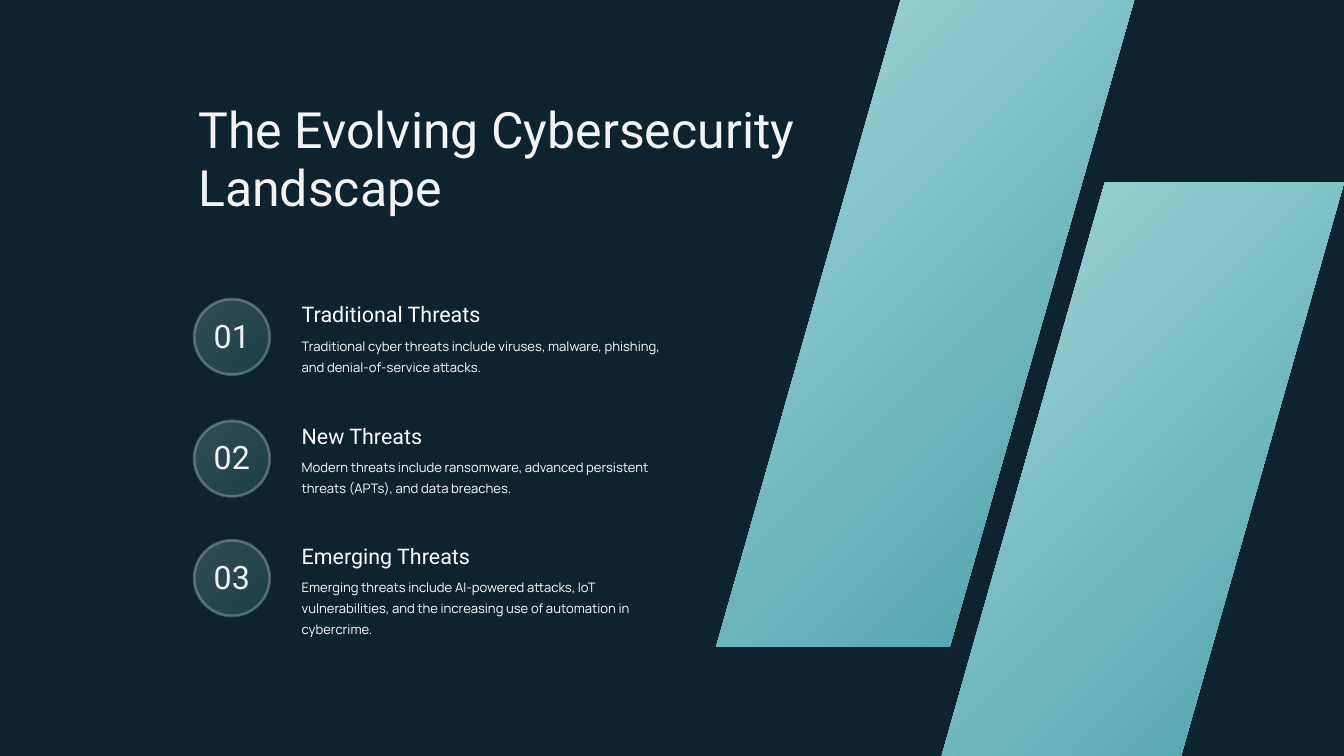
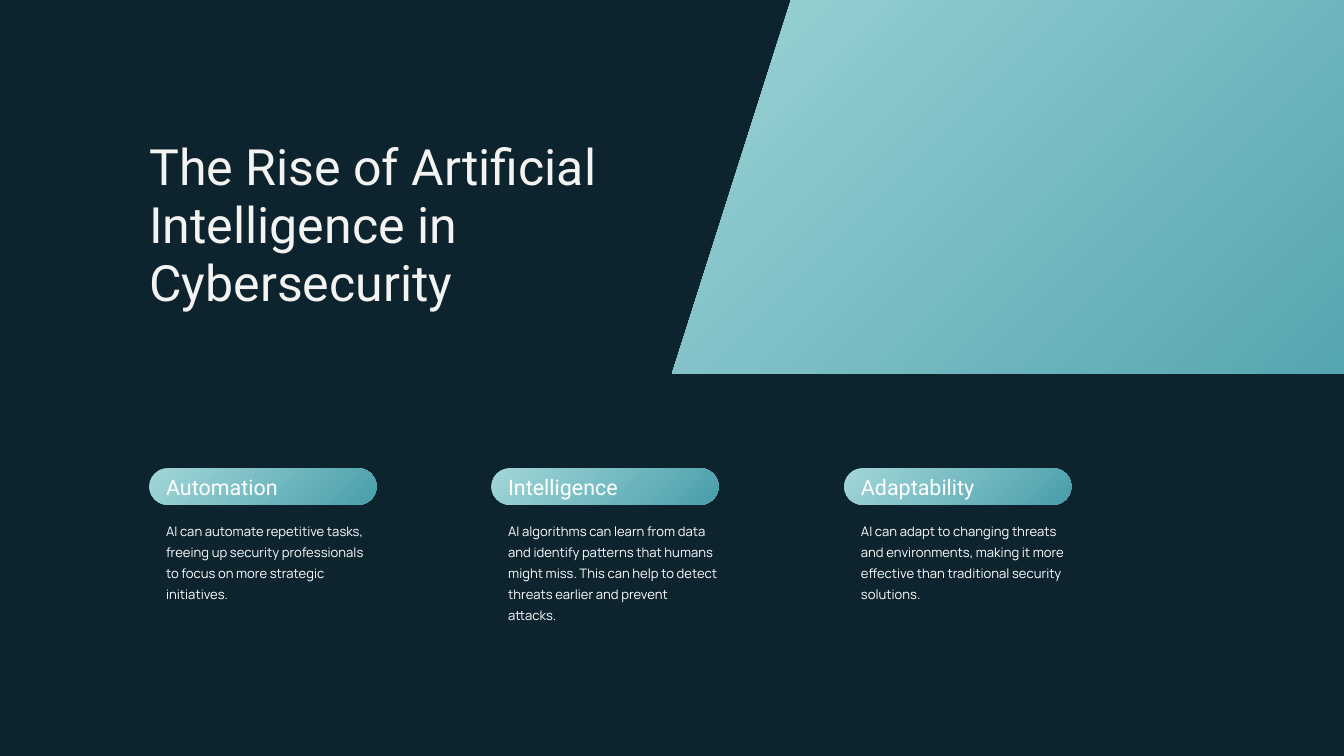
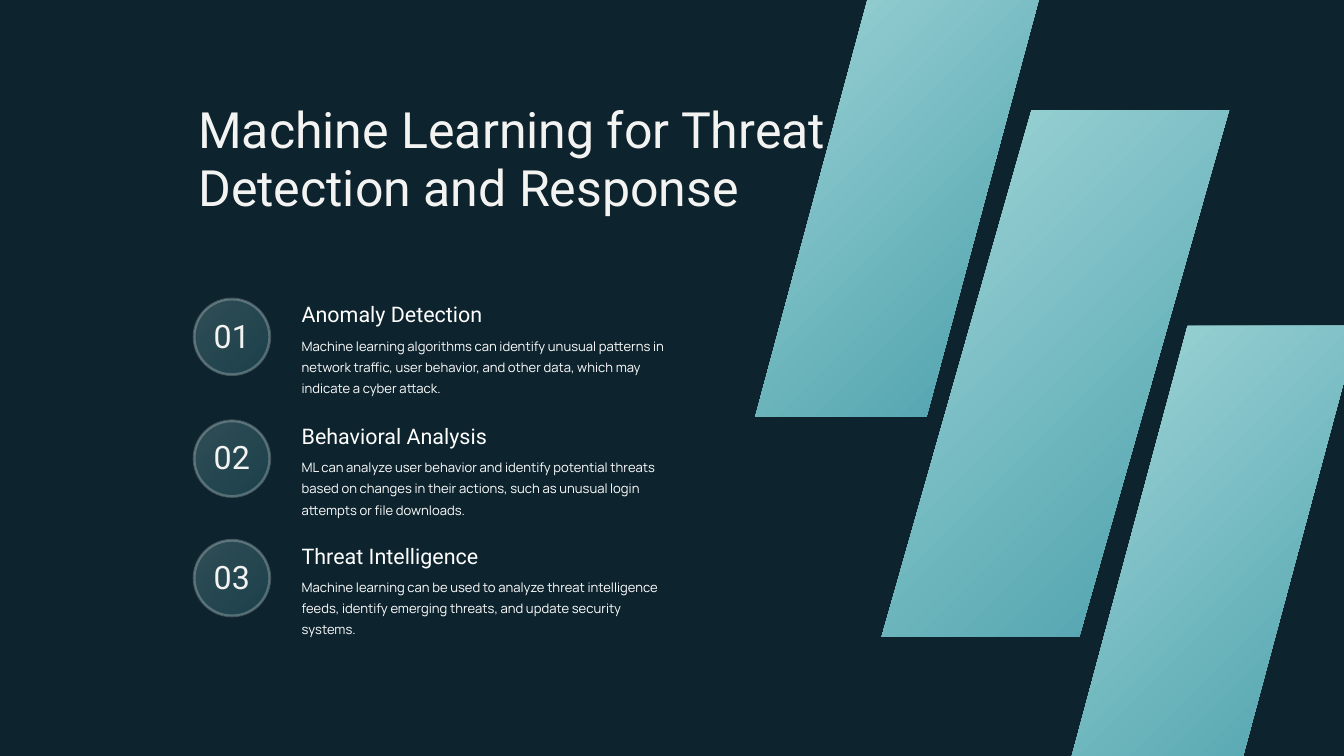
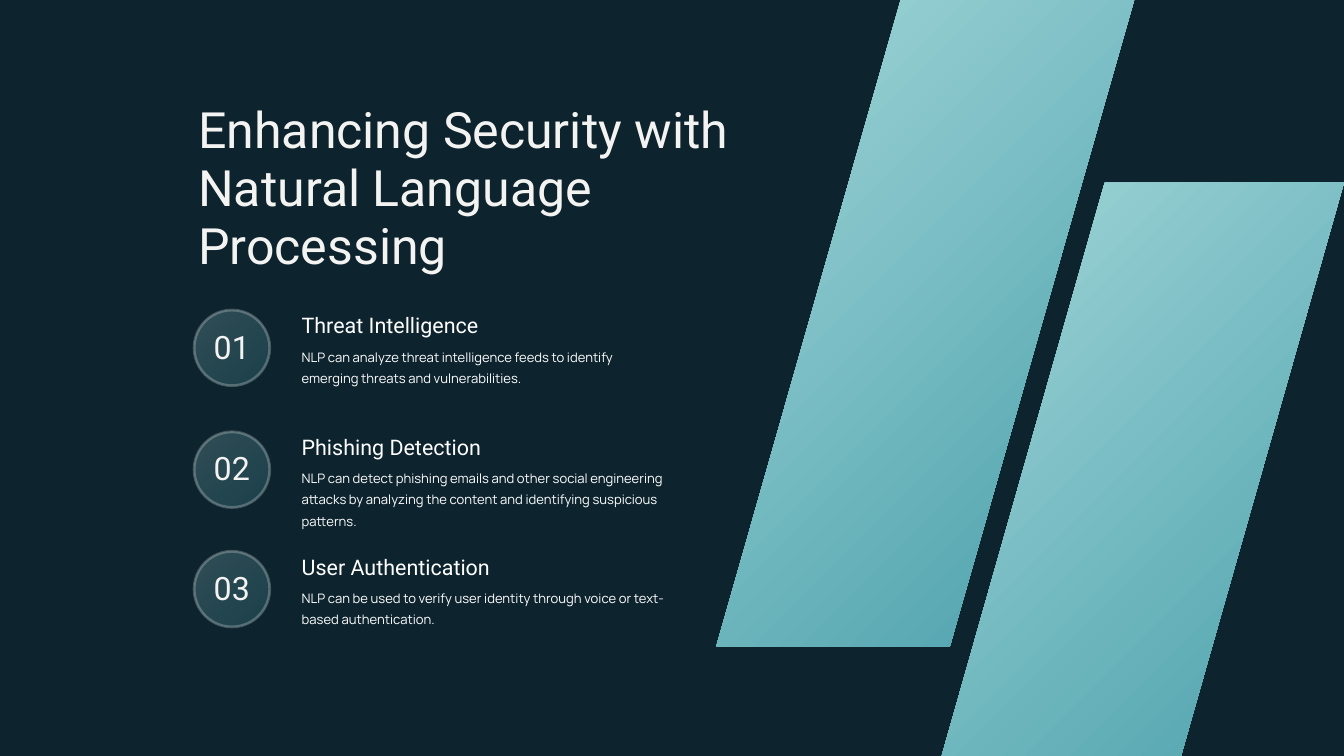
from lxml import etree
from pptx import Presentation
from pptx.dml.color import RGBColor
from pptx.enum import shapes, text
from pptx.oxml.ns import qn
from pptx.util import Pt

COLOURS = {
    "night": "0D232D",
    "mist": "A3D7D8",
    "teal": "489EAB",
    "white": "FFFFFF",
    "pearl": "F3F3F2",
}

STYLES = {
    "title": {"font": {"name": "Roboto", "size": Pt(53.6)}, "colour": "pearl",
              "para": {"line_spacing": Pt(62.1), "alignment": text.PP_ALIGN.LEFT}},
    "number": {"font": {"name": "Roboto", "size": Pt(34.5)}, "colour": "pearl",
               "para": {"line_spacing": Pt(40), "alignment": text.PP_ALIGN.CENTER}},
    "heading": {"font": {"name": "Roboto", "size": Pt(23)}, "colour": "white",
                "para": {"line_spacing": Pt(32.2), "alignment": text.PP_ALIGN.LEFT}},
    "body": {"font": {"name": "Manrope", "size": Pt(14)}, "colour": "white",
             "para": {"line_spacing": Pt(22.6), "alignment": text.PP_ALIGN.LEFT}},
}

FRAME = {
    "margin_left": 0, "margin_top": 0, "margin_right": 0, "margin_bottom": 0,
    "word_wrap": True, "vertical_anchor": text.MSO_ANCHOR.TOP,
    "auto_size": text.MSO_AUTO_SIZE.NONE,
}

BODY_LINE = 22.6
ROW_OFFSETS = (0, 130.5, 258.5)
CARD_LEFTS = (160, 526.5, 904.5)

TWO_BANDS = [
    ((767.5, -16, 452.2, 708.5), 202),
    ((993.6, 195.8, 446.4, 668.2), 190),
]
THREE_BANDS = [
    ((944.6, 118, 372.3, 564.5), 160.6),
    ((809.3, -65.5, 321.2, 511.7), 137.7),
    ((1134.7, 349.2, 321.2, 511.7), 137.7),
]

LIST_SLIDES = [
    {
        "title": "The Evolving Cybersecurity Landscape",
        "title_box": (212.4, 108, 690, 125),
        "top": 320.4,
        "bands": TWO_BANDS,
        "rows": [
            ("Traditional Threats", 2,
             "Traditional cyber threats include viruses, malware, phishing, "
             "and denial-of-service attacks."),
            ("New Threats", 2,
             "Modern threats include ransomware, advanced persistent threats "
             "(APTs), and data breaches."),
            ("Emerging Threats", 3,
             "Emerging threats include AI-powered attacks, IoT vulnerabilities, "
             "and the increasing use of automation in cybercrime."),
        ],
    },
    {
        "title": "Machine Learning for Threat Detection and Response",
        "title_box": (212.4, 108, 742, 125),
        "top": 320.4,
        "bands": THREE_BANDS,
        "rows": [
            ("Anomaly Detection", 3,
             "Machine learning algorithms can identify unusual patterns in network "
             "traffic, user behavior, and other data, which may indicate a cyber attack."),
            ("Behavioral Analysis", 3,
             "ML can analyze user behavior and identify potential threats based on "
             "changes in their actions, such as unusual login attempts or file downloads."),
            ("Threat Intelligence", 3,
             "Machine learning can be used to analyze threat intelligence feeds, "
             "identify emerging threats, and update security systems."),
        ],
    },
    {
        "title": "Enhancing Security with Natural Language Processing",
        "title_box": (212.4, 108, 690, 187),
        "top": 332.2,
        "bands": TWO_BANDS,
        "rows": [
            ("Threat Intelligence", 2,
             "NLP can analyze threat intelligence feeds to identify emerging threats "
             "and vulnerabilities."),
            ("Phishing Detection", 3,
             "NLP can detect phishing emails and other social engineering attacks by "
             "analyzing the content and identifying suspicious patterns."),
            ("User Authentication", 2,
             "NLP can be used to verify user identity through voice or text-based "
             "authentication."),
        ],
    },
]

CARD_SLIDE = {
    "title": "The Rise of Artificial Intelligence in Cybersecurity",
    "title_box": (160, 147.6, 619, 186),
    "bands": [((720, -106.5, 910.8, 506.8), 161.3)],
    "cards": [
        ("Automation", 4,
         "AI can automate repetitive tasks, freeing up security professionals to "
         "focus on more strategic initiatives."),
        ("Intelligence", 5,
         "AI algorithms can learn from data and identify patterns that humans might "
         "miss. This can help to detect threats earlier and prevent attacks."),
        ("Adaptability", 4,
         "AI can adapt to changing threats and environments, making it more "
         "effective than traditional security solutions."),
    ],
}


def rgb(name):
    """Return the named colour."""
    return RGBColor.from_string(COLOURS[name])


def points(box):
    """Convert a box given in points to lengths."""
    return [Pt(value) for value in box]


def apply(target, values):
    """Set every attribute in the dict on the target."""
    for name, value in values.items():
        setattr(target, name, value)


def write(shape, words, style):
    """Fill a shape's text frame with one styled paragraph."""
    look = STYLES[style]
    apply(shape.text_frame, FRAME)
    para = shape.text_frame.paragraphs[0]
    apply(para, look["para"])
    span = para.add_run()
    span.text = words
    apply(span.font, look["font"])
    span.font.color.rgb = rgb(look["colour"])


def add_label(page, box, words, style):
    """Add a text box in one of the shared styles."""
    write(page.shapes.add_textbox(*points(box)), words, style)


def add_title(page, box, words):
    """Move the title placeholder to the box and fill it."""
    title = page.shapes.title
    apply(title, dict(zip(("left", "top", "width", "height"), points(box))))
    write(title, words, "title")


def add_gradient_shape(page, kind, box):
    """Add a borderless preset shape with the diagonal teal gradient."""
    shape = page.shapes.add_shape(kind, *points(box))
    shape.shadow.inherit = False
    shape.fill.gradient()
    shape.fill.gradient_angle = 315
    for stop, name, position in zip(shape.fill.gradient_stops, ("mist", "teal"), (0, 1)):
        stop.color.rgb = rgb(name)
        stop.position = position
    shape.line.fill.background()
    return shape


def add_band(page, box, slant):
    """Add a slanted band whose top edge is shifted right by the slant."""
    band = add_gradient_shape(page, shapes.MSO_SHAPE.PARALLELOGRAM, box)
    band.adjustments[0] = slant / min(box[2:])


def add_badge(page, box):
    """Add a translucent circle with a translucent white outline."""
    badge = add_gradient_shape(page, shapes.MSO_SHAPE.OVAL, box)
    badge.line.color.rgb = rgb("white")
    badge.line.width = Pt(3)
    for colour in badge._element.spPr.iter(qn("a:srgbClr")):
        etree.SubElement(colour, qn("a:alpha"), val="24000")


def add_row(page, left, top, number, row):
    """Add a numbered badge with its heading and description."""
    heading, lines, body = row
    add_badge(page, (left, top, 81, 81))
    add_label(page, (left + 4.4, top + 19.5, 72, 41), f"{number:02}", "number")
    add_label(page, (left + 115.2, top + 36, 396.7, lines * BODY_LINE), body, "body")
    add_label(page, (left + 115.2, top - 2.2, 360, 32), heading, "heading")


def add_card(page, left, top, card):
    """Add a pill heading with its description underneath."""
    heading, lines, body = card
    pill = add_gradient_shape(page, shapes.MSO_SHAPE.ROUNDED_RECTANGLE,
                              (left, top, 243.4, 39))
    pill.adjustments[0] = 0.5
    add_label(page, (left + 18, top + 1.3, 225, 32), heading, "heading")
    add_label(page, (left + 18, top + 53.3, 225, lines * BODY_LINE), body, "body")


def add_page(deck, content):
    """Add a slide with its bands and title."""
    page = deck.slides.add_slide(deck.slide_layouts[5])
    for box, slant in content["bands"]:
        add_band(page, box, slant)
    add_title(page, content["title_box"], content["title"])
    return page


def add_list_slide(deck, content):
    """Add a slide with three numbered rows."""
    page = add_page(deck, content)
    for number, (offset, row) in enumerate(zip(ROW_OFFSETS, content["rows"]), 1):
        add_row(page, 208, content["top"] + offset, number, row)


def add_card_slide(deck, content):
    """Add a slide with three cards side by side."""
    page = add_page(deck, content)
    for left, card in zip(CARD_LEFTS, content["cards"]):
        add_card(page, left, 501.8, card)


def main():
    """Build the deck and save it."""
    deck = Presentation()
    apply(deck, {"slide_width": Pt(1440), "slide_height": Pt(810)})
    background = deck.slide_master.background.fill
    background.solid()
    background.fore_color.rgb = rgb("night")
    landscape, learning, language = LIST_SLIDES
    add_list_slide(deck, landscape)
    add_card_slide(deck, CARD_SLIDE)
    add_list_slide(deck, learning)
    add_list_slide(deck, language)
    deck.save("out.pptx")


if __name__ == "__main__":
    main()
